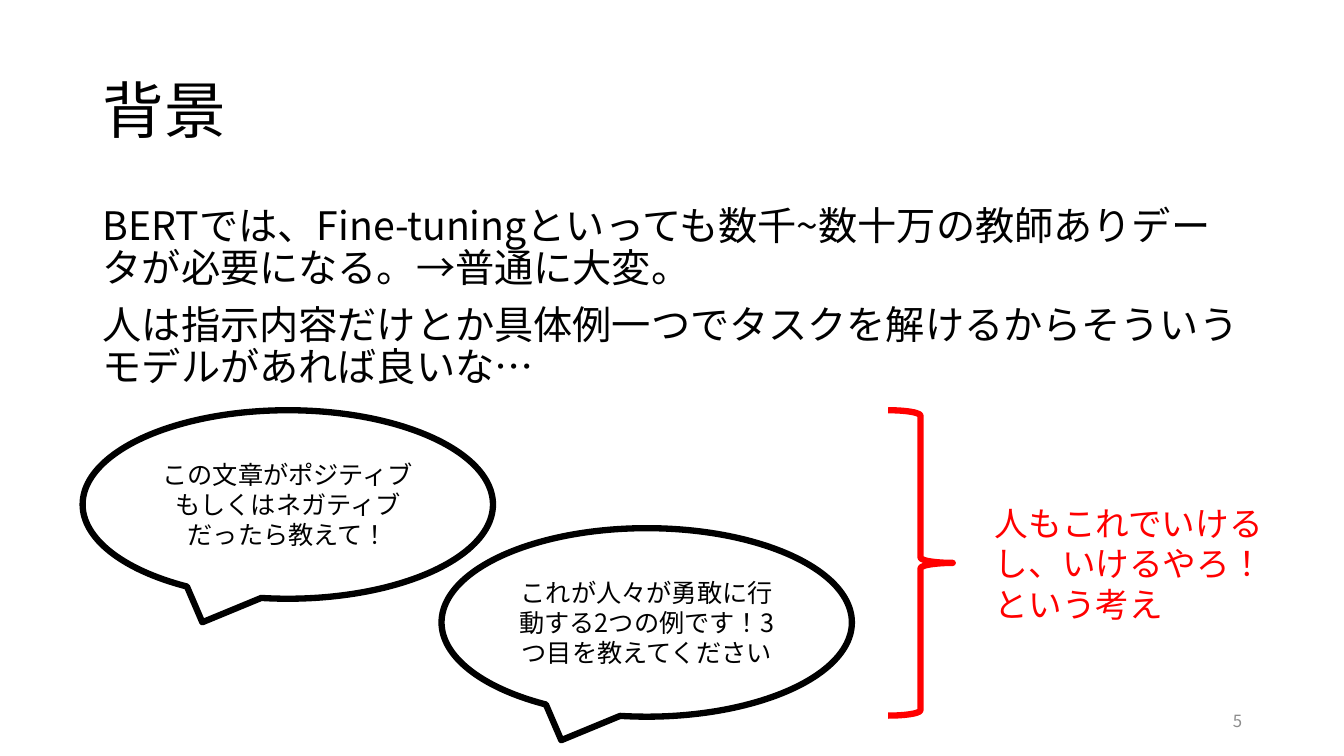
from lxml import etree
from pptx import Presentation
from pptx.dml.color import RGBColor
from pptx.enum import shapes, text
from pptx.oxml.ns import qn
from pptx.util import Inches, Pt

FONT = "Noto Sans CJK JP"
BLACK = RGBColor(0, 0, 0)
WHITE = RGBColor(255, 255, 255)
RED = RGBColor(255, 0, 0)
GRAY = RGBColor(0x8C, 0x8C, 0x8C)


def write(shape, words, size, color, align, anchor):
    """Fill a shape with Japanese paragraphs, one per line of words."""
    frame = shape.text_frame
    frame.text = words
    frame.word_wrap = True
    frame.auto_size = text.MSO_AUTO_SIZE.NONE
    frame.vertical_anchor = anchor
    for para in frame.paragraphs:
        para.alignment = align
        for run in para.runs:
            run.font.name = FONT
            run.font.size = Pt(size)
            run.font.color.rgb = color
            props = run.font._element
            props.set("lang", "ja-JP")
            latin = props.find(qn("a:latin"))
            east = etree.Element(qn("a:ea"), typeface=FONT)
            latin.addnext(east)


def place(shape, left, top, width, height):
    shape.left, shape.top = Inches(left), Inches(top)
    shape.width, shape.height = Inches(width), Inches(height)


LEFT, MID, RIGHT = text.PP_ALIGN.LEFT, text.PP_ALIGN.CENTER, text.PP_ALIGN.RIGHT
TOP, CENTER = text.MSO_ANCHOR.TOP, text.MSO_ANCHOR.MIDDLE

deck = Presentation()
deck.slide_width, deck.slide_height = Inches(13.33), Inches(7.5)
slide = deck.slides.add_slide(deck.slide_layouts[1])

# Title and body
title, body = slide.placeholders
place(title, 0.92, 0.4, 11.5, 1.45)
write(title, "背景", 44, BLACK, LEFT, CENTER)
title.text_frame.paragraphs[0].line_spacing = 0.9

place(body, 0.92, 2, 11.5, 4.76)
write(body, "BERTでは、Fine-tuningといっても数千~数十万の教師ありデータが必要になる。→普通に大変。\n"
      "人は指示内容だけとか具体例一つでタスクを解けるからそういうモデルがあれば良いな…",
      28, BLACK, LEFT, TOP)
for para in body.text_frame.paragraphs:
    para.line_spacing = 0.9
    para.space_before = Pt(10)
    props = para._p.get_or_add_pPr()
    props.set("marL", "0")
    props.set("indent", "0")
    etree.SubElement(props, qn("a:buNone"))

# Speech bubbles
bubbles = [
    (0.82, 4.07, "この文章がポジティブもしくはネガティブだったら教えて！"),
    (4.38, 5.24, "これが人々が勇敢に行動する2つの例です！3つ目を教えてください"),
]
for left, top, words in bubbles:
    bubble = slide.shapes.add_shape(
        shapes.MSO_SHAPE.OVAL_CALLOUT,
        Inches(left), Inches(top), Inches(4.07), Inches(1.87))
    bubble.shadow.inherit = False
    bubble.fill.solid()
    bubble.fill.fore_color.rgb = WHITE
    bubble.line.color.rgb = BLACK
    bubble.line.width = Pt(4.5)
    write(bubble, words, 18, BLACK, MID, CENTER)

# Brace and conclusion
brace = slide.shapes.add_shape(
    shapes.MSO_SHAPE.RIGHT_BRACE,
    Inches(8.81), Inches(4.07), Inches(0.64), Inches(3.03))
brace.shadow.inherit = False
brace.fill.background()
brace.line.color.rgb = RED
brace.line.width = Pt(4.5)

labels = [
    (9.77, 4.94, 1.31, "人もこれでいけるし、いけるやろ！という考え", 24, RED, LEFT, TOP),
    (9.42, 6.95, 0.4, "5", 12, GRAY, RIGHT, CENTER),
]
for left, top, height, *style in labels:
    label = slide.shapes.add_textbox(
        Inches(left), Inches(top), Inches(3), Inches(height))
    write(label, *style)

deck.save("out.pptx")
